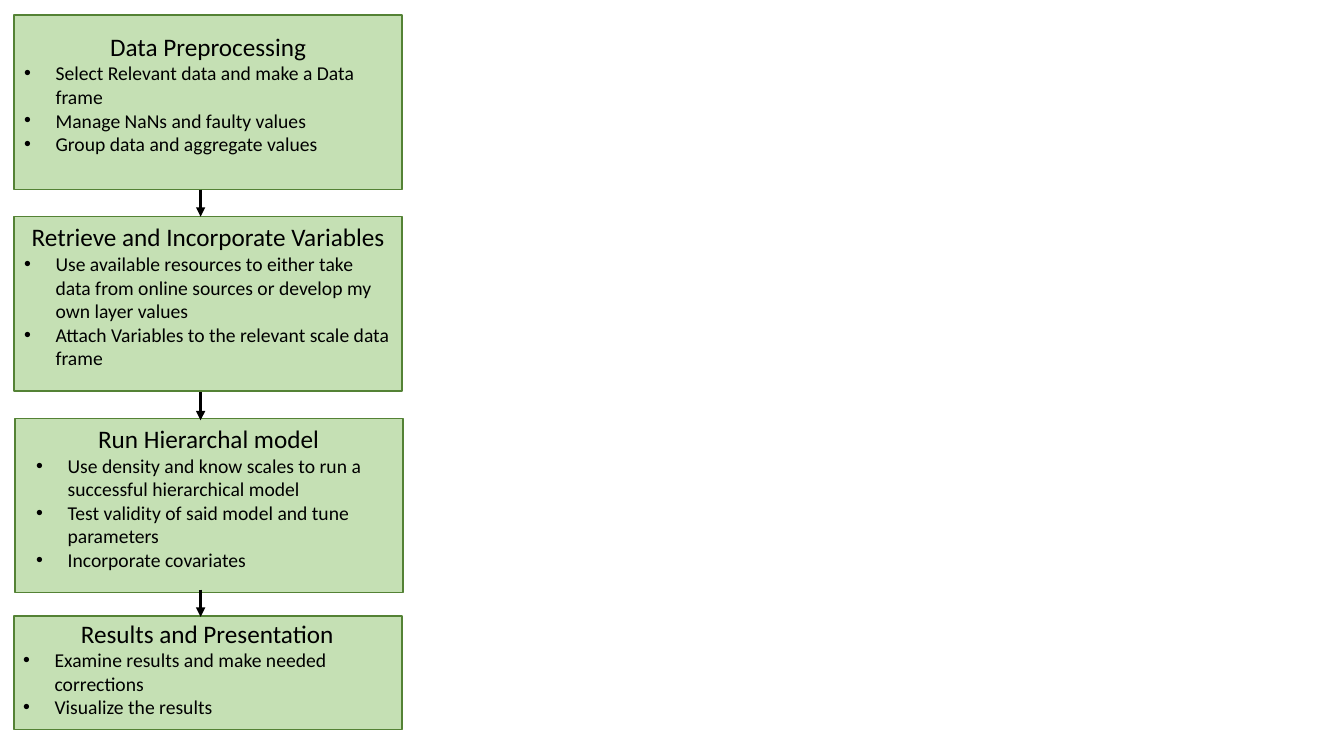
import pptx
import pptx.util
import pptx.dml.color
import pptx.enum.shapes
import pptx.enum.text
import pptx.oxml.ns
import lxml.etree

Pt = pptx.util.Pt
RGB = pptx.dml.color.RGBColor.from_string

# Content: heading and bullets of each step
STEPS = [
    ("Data Preprocessing", [
        "Select Relevant data and make a Data frame",
        "Manage NaNs and faulty values",
        "Group data and aggregate values"]),
    ("Retrieve and Incorporate Variables", [
        "Use available resources to either take data from online sources or develop my own layer values",
        "Attach Variables to the relevant scale data frame"]),
    ("Run Hierarchal model", [
        "Use density and know scales to run a successful hierarchical model",
        "Test validity of said model and tune parameters",
        "Incorporate covariates"]),
    ("Results and Presentation", [
        "Examine results and make needed corrections",
        "Visualize the results"]),
]

THEME = {"font": "Calibri", "text": RGB("000000"), "fill": RGB("C5E0B4"),
         "line": RGB("548235"), "heading": Pt(18), "body": Pt(14)}

# Geometry in points: left, top, width, height
LEFT, WIDTH, HEIGHT = 10.1, 277.2, 124.6
BOXES = [(LEFT, 10.8, WIDTH, HEIGHT), (LEFT, 154.8, WIDTH, HEIGHT),
         (LEFT + 0.7, 298.8, WIDTH, HEIGHT), (LEFT, 439.9, WIDTH, 81.4)]
TEXTS = [(LEFT, 18.7, WIDTH, 45.4), (LEFT, 154.8, WIDTH, 43.9),
         (18.7, 298.8, 260.6, 39.6), (9.4, 437.8, WIDTH, 72)]
ARROW_X = 143.3
ARROWS = [(135.4, 154.8), (280.1, 300.2), (421.2, 440.6)]
INDENT = Pt(22.5)


def points(values):
    return [Pt(v) for v in values]


def add_box(shapes, frame):
    sp = shapes.add_shape(pptx.enum.shapes.MSO_SHAPE.RECTANGLE, *points(frame))
    sp.shadow.inherit = False
    sp.fill.solid()
    sp.fill.fore_color.rgb = THEME["fill"]
    sp.line.color.rgb = THEME["line"]
    sp.line.width = Pt(1)


def add_bullet(p):
    pPr = p._p.get_or_add_pPr()
    pPr.set("marL", str(INDENT))
    pPr.set("indent", str(-INDENT))
    for tag, key, value in (("a:buFont", "typeface", "Arial"), ("a:buChar", "char", "•")):
        lxml.etree.SubElement(pPr, pptx.oxml.ns.qn(tag)).set(key, value)


def add_text(shapes, frame, heading, bullets):
    tf = shapes.add_textbox(*points(frame)).text_frame
    tf.word_wrap = True
    tf.auto_size = pptx.enum.text.MSO_AUTO_SIZE.SHAPE_TO_FIT_TEXT
    tf.text = "\n".join([heading] + bullets)
    for i, p in enumerate(tf.paragraphs):
        if i == 0:
            p.alignment = pptx.enum.text.PP_ALIGN.CENTER
        else:
            add_bullet(p)
        font = p.runs[0].font
        font.name = THEME["font"]
        font.size = THEME["body"] if i else THEME["heading"]
        font.color.rgb = THEME["text"]


def add_arrow(shapes, top, bottom):
    line = shapes.add_connector(pptx.enum.shapes.MSO_CONNECTOR.STRAIGHT,
                                *points((ARROW_X, top, ARROW_X, bottom)))
    line.line.color.rgb = THEME["text"]
    line.line.width = Pt(2.25)
    ln = line.line._get_or_add_ln()
    lxml.etree.SubElement(ln, pptx.oxml.ns.qn("a:tailEnd")).set("type", "triangle")
    lxml.etree.SubElement(line._element.spPr, pptx.oxml.ns.qn("a:effectLst"))


# Slide
prs = pptx.Presentation()
prs.slide_width, prs.slide_height = Pt(960), Pt(540)
s = prs.slides.add_slide(prs.slide_layouts[6])
flow = s.shapes.add_group_shape().shapes

# Steps
for (heading, bullets), box, text in zip(STEPS, BOXES, TEXTS):
    add_box(flow, box)
    add_text(flow, text, heading, bullets)

# Arrows between steps
for top, bottom in ARROWS:
    add_arrow(flow, top, bottom)

prs.save("out.pptx")
